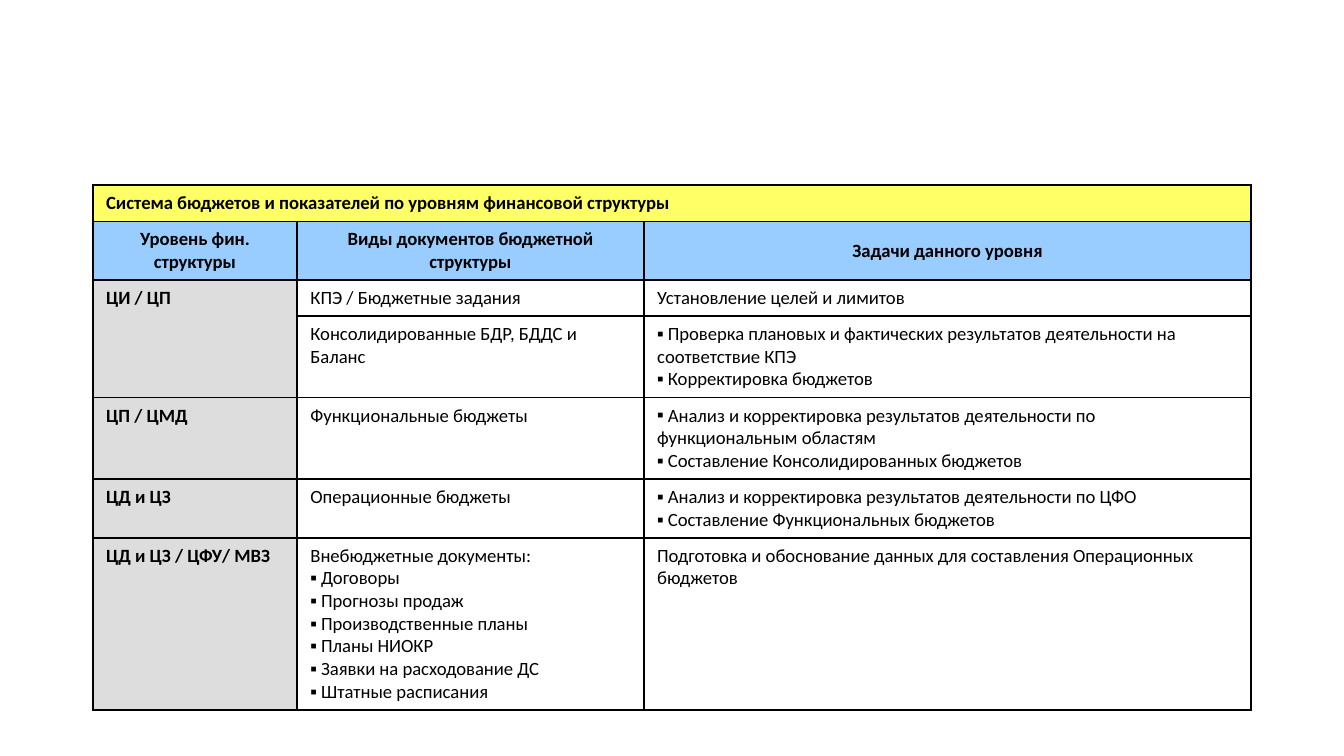
from lxml.etree import SubElement
from pptx import Presentation
from pptx.dml.color import RGBColor
from pptx.enum.text import MSO_ANCHOR, PP_ALIGN
from pptx.oxml.ns import qn
from pptx.util import Inches, Pt

WIDTH = Inches(10)
HEIGHT = WIDTH * 9 // 16
BLACK = RGBColor(0x00, 0x00, 0x00)
WHITE = RGBColor(0xFF, 0xFF, 0xFF)
YELLOW = RGBColor(0xFF, 0xFF, 0x66)
BLUE = RGBColor(0x99, 0xCC, 0xFF)
GREY = RGBColor(0xDD, 0xDD, 0xDD)

FONT = "Calibri"
BULLET = "▪"
COLUMN_PERCENTS = (15.2, 25.8, 45.2)
LINES_PER_ROW = (1, 2, 1, 3, 3, 2, 7)
TITLE = "Система бюджетов и показателей по уровням финансовой структуры"
HEADINGS = (
    "Уровень фин. структуры",
    "Виды документов бюджетной структуры",
    "Задачи данного уровня",
)
LEVELS = (
    ("ЦИ / ЦП", ["КПЭ / Бюджетные задания"], ["Установление целей и лимитов"]),
    ("", ["Консолидированные БДР, БДДС и Баланс"],
     ["▪ Проверка плановых и фактических результатов деятельности на соответствие КПЭ",
      "▪ Корректировка бюджетов"]),
    ("ЦП / ЦМД", ["Функциональные бюджеты"],
     ["▪ Анализ и корректировка результатов деятельности по функциональным областям",
      "▪ Составление Консолидированных бюджетов"]),
    ("ЦД и ЦЗ", ["Операционные бюджеты"],
     ["▪ Анализ и корректировка результатов деятельности по ЦФО",
      "▪ Составление Функциональных бюджетов"]),
    ("ЦД и ЦЗ / ЦФУ/ МВЗ",
     ["Внебюджетные документы:", "▪ Договоры", "▪ Прогнозы продаж",
      "▪ Производственные планы", "▪ Планы НИОКР",
      "▪ Заявки на расходование ДС", "▪ Штатные расписания"],
     ["Подготовка и обоснование данных для составления Операционных бюджетов"]),
)


def share(length, percent):
    """Return a percentage of a slide dimension."""
    return round(length * percent / 100)


def add_bullet(p):
    """Give a paragraph a square bullet without a hanging indent."""
    pPr = p._p.get_or_add_pPr()
    pPr.set("marL", "0")
    pPr.set("indent", "0")
    SubElement(pPr, qn("a:buFont"), typeface=FONT)
    SubElement(pPr, qn("a:buChar"), char=BULLET)
    tabs = SubElement(pPr, qn("a:tabLst"))
    SubElement(tabs, qn("a:tab"), pos=str(Inches(0.18)), algn="l")


def write(tf, lines, *, bold=False, align=PP_ALIGN.LEFT):
    """Write lines as paragraphs, bulleting those that start with the mark."""
    for i, line in enumerate(lines):
        p = tf.add_paragraph() if i else tf.paragraphs[0]
        if line.startswith(BULLET):
            add_bullet(p)
        p.alignment = align
        r = p.add_run()
        r.text = line.removeprefix(BULLET)
        r.font.name = FONT
        r.font.size = Pt(10)
        r.font.bold = bold
        r.font.color.rgb = BLACK


def style_cell(cell, color):
    """Draw black borders around a cell and fill it."""
    tcPr = cell._tc.get_or_add_tcPr()
    for side in ("lnL", "lnR", "lnT", "lnB"):
        line = SubElement(tcPr, qn(f"a:{side}"), w=str(Pt(1)))
        fill = SubElement(line, qn("a:solidFill"))
        SubElement(fill, qn("a:srgbClr"), val=str(BLACK))
    cell.fill.solid()
    cell.fill.fore_color.rgb = color


def add_grid(s):
    """Add the empty table with its column widths and row heights."""
    heights = [Inches(0.1 + 0.16 * n) for n in LINES_PER_ROW]
    widths = [share(WIDTH, percent) for percent in COLUMN_PERCENTS]
    frame = s.shapes.add_table(
        len(heights), len(widths), share(WIDTH, 6.9), share(HEIGHT, 24.5),
        sum(widths), sum(heights))
    table = frame.table
    table.first_row = table.horz_banding = False
    for column, width in zip(table.columns, widths):
        column.width = width
    for row, height in zip(table.rows, heights):
        row.height = height
    return table


def fill_header(table):
    """Fill the title row and the column headings."""
    for col, heading in enumerate(HEADINGS):
        style_cell(table.cell(0, col), YELLOW)
        cell = table.cell(1, col)
        style_cell(cell, BLUE)
        cell.vertical_anchor = MSO_ANCHOR.MIDDLE
        write(cell.text_frame, [heading], bold=True, align=PP_ALIGN.CENTER)
    title = table.cell(0, 0)
    title.merge(table.cell(0, 2))
    title.vertical_anchor = MSO_ANCHOR.MIDDLE
    write(title.text_frame, [TITLE], bold=True)


def fill_levels(table):
    """Fill one row per budget document, joining rows of the same level."""
    for row, (level, documents, tasks) in enumerate(LEVELS, start=2):
        name = table.cell(row, 0)
        style_cell(name, GREY)
        if level:
            write(name.text_frame, [level], bold=True, align=PP_ALIGN.JUSTIFY)
        else:
            table.cell(row - 1, 0).merge(name)
        for col, lines in enumerate((documents, tasks), start=1):
            cell = table.cell(row, col)
            style_cell(cell, WHITE)
            write(cell.text_frame, lines)


def main():
    """Build the slide and save it."""
    prs = Presentation()
    prs.slide_width, prs.slide_height = WIDTH, HEIGHT
    s = prs.slides.add_slide(prs.slide_layouts[6])
    table = add_grid(s)
    fill_header(table)
    fill_levels(table)
    prs.save("out.pptx")


if __name__ == "__main__":
    main()
